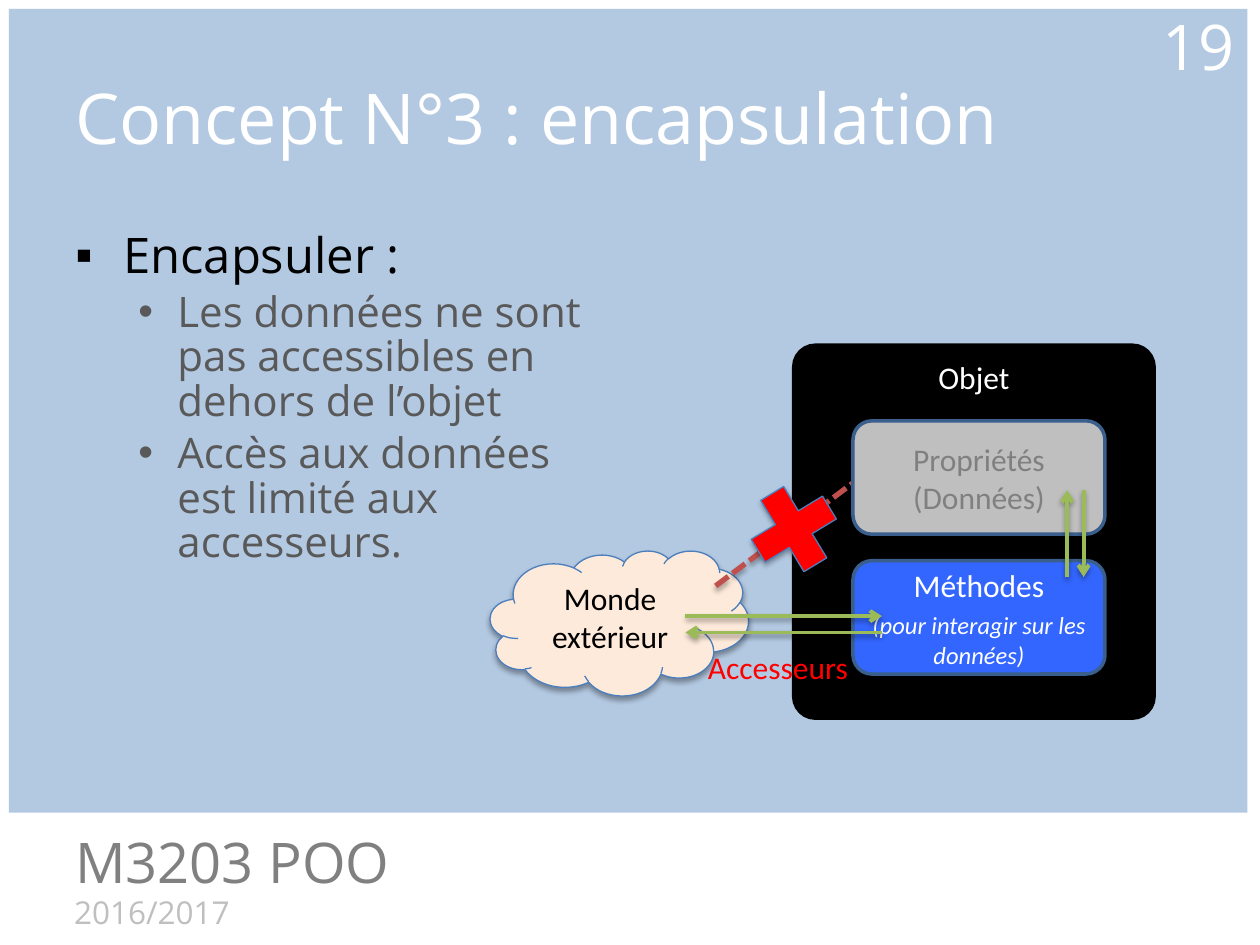
import dataclasses

import lxml.etree
import pptx
import pptx.dml.color
import pptx.enum.dml
import pptx.enum.shapes
import pptx.enum.text
import pptx.oxml.ns
import pptx.util

Inches = pptx.util.Inches
Pt = pptx.util.Pt
Shape = pptx.enum.shapes.MSO_SHAPE
Align = pptx.enum.text.PP_ALIGN
Anchor = pptx.enum.text.MSO_ANCHOR
qn = pptx.oxml.ns.qn


@dataclasses.dataclass(frozen=True)
class Theme:
    """Fonts, colours and type sizes of the deck."""
    heading_font: str = "Open Sans"
    diagram_font: str = "Calibri"
    white: str = "FFFFFF"
    black: str = "000000"
    panel: str = "95B3D7"
    course: str = "808080"
    silver: str = "BFBFBF"
    detail: str = "595959"
    methods: str = "3366FF"
    box_edge: str = "3A5F8C"
    cloud: str = "FDEADA"
    thin_edge: str = "4B7EBC"
    red: str = "FF0000"
    blocked: str = "C0504D"
    access: str = "9BBB59"
    title_size: int = 40
    number_size: int = 36
    course_size: int = 32
    bullet_size: int = 28
    detail_size: int = 24
    label_size: int = 18
    note_size: int = 14


THEME = Theme()


def rgb(color):
    """Turn a hex string into a colour."""
    return pptx.dml.color.RGBColor.from_string(color)


def write(para, text, size, color, font=THEME.heading_font, italic=None):
    """Add one formatted run to a paragraph."""
    span = para.add_run()
    span.text = text
    span.font.size = Pt(size)
    span.font.name = font
    span.font.italic = italic
    span.font.color.rgb = rgb(color)


def add_text(page, box, text, size, color, font=THEME.heading_font,
             align=Align.LEFT, anchor=Anchor.TOP, wrap=True):
    """Add a text box holding a single line."""
    frame = page.shapes.add_textbox(*map(Inches, box)).text_frame
    frame.word_wrap = wrap
    frame.vertical_anchor = anchor
    frame.paragraphs[0].alignment = align
    write(frame.paragraphs[0], text, size, color, font)


def add_effects(shape, shadow=True):
    """Replace the theme shadow by a soft one below, or by none."""
    effects = lxml.etree.SubElement(shape._element.spPr, qn("a:effectLst"))
    if shadow:
        outer = lxml.etree.SubElement(effects, qn("a:outerShdw"), blurRad=str(Pt(3.1)),
                                      dist=str(Pt(1.8)), dir="5400000", rotWithShape="0")
        tint = lxml.etree.SubElement(outer, qn("a:srgbClr"), val=THEME.black)
        lxml.etree.SubElement(tint, qn("a:alpha"), val="35000")


def add_figure(page, kind, box, fill, edge=None, width=2.0, shadow=False):
    """Add a filled preset shape with an optional outline."""
    shape = page.shapes.add_shape(kind, *map(Inches, box))
    shape.fill.solid()
    shape.fill.fore_color.rgb = rgb(fill)
    if edge:
        shape.line.color.rgb = rgb(edge)
        shape.line.width = Pt(width)
    else:
        shape.line.fill.background()
    add_effects(shape, shadow)
    return shape


def label(shape, text, color, anchor=Anchor.MIDDLE):
    """Write a centred label inside a shape."""
    frame = shape.text_frame
    frame.word_wrap = True
    frame.vertical_anchor = anchor
    frame.paragraphs[0].alignment = Align.CENTER
    write(frame.paragraphs[0], text, THEME.label_size, color, THEME.diagram_font)


def add_arrow(page, start, end, color=THEME.access, width=2.25, dash=None):
    """Draw a straight arrow with an open head."""
    arrow = page.shapes.add_connector(pptx.enum.shapes.MSO_CONNECTOR.STRAIGHT,
                                      *map(Inches, (*start, *end)))
    arrow.line.color.rgb = rgb(color)
    arrow.line.width = Pt(width)
    if dash:
        arrow.line.dash_style = dash
    lxml.etree.SubElement(arrow.line._get_or_add_ln(), qn("a:tailEnd"), type="arrow")
    add_effects(arrow)


def add_backdrop(page, box):
    """Lay the translucent panel with the title and slide number."""
    left, top, width, height = box
    panel = add_figure(page, Shape.RECTANGLE, box, THEME.panel)
    tint = panel._element.spPr.find(qn("a:solidFill"))[0]
    lxml.etree.SubElement(tint, qn("a:alpha"), val="71000")
    add_text(page, (left + 0.43, top + 0.23, 9, 1.25), "Concept N°3 : encapsulation",
             THEME.title_size, THEME.white, anchor=Anchor.MIDDLE)
    add_text(page, (left + width - 1.27, top, 1.27, 0.58), "19", THEME.number_size,
             THEME.white, align=Align.RIGHT, anchor=Anchor.MIDDLE)


def add_footer(page, box):
    """Write the course name and year."""
    left, top, width, height = box
    add_text(page, (left, top + 0.52, 4, 0.4), "2016/2017", THEME.label_size, THEME.silver)
    add_text(page, (left + 0.01, top, width, 0.64), "M3203 POO", THEME.course_size, THEME.course)


def add_bullets(page, box):
    """Write the main point and its two details."""
    frame = page.shapes.add_textbox(*map(Inches, box)).text_frame
    frame.word_wrap = True
    main = ("▪", 0.38, 0.38, THEME.bullet_size, THEME.black)
    detail = ("•", 0.81, 0.31, THEME.detail_size, THEME.detail)
    points = [
        ("Encapsuler :", 0, main),
        ("Les données ne sont pas accessibles en dehors de l’objet", 1, detail),
        ("Accès aux données est limité aux accesseurs.", 1, detail),
    ]
    for index, (text, level, (mark, margin, hang, size, color)) in enumerate(points):
        para = frame.paragraphs[0] if index == 0 else frame.add_paragraph()
        para.level = level
        para.line_spacing = 0.88
        para.space_before = Pt(size * 0.2 if index else 0)
        props = para._p.get_or_add_pPr()
        props.set("marL", str(Inches(margin)))
        props.set("indent", str(-Inches(hang)))
        lxml.etree.SubElement(props, qn("a:buFont"), typeface="Arial")
        lxml.etree.SubElement(props, qn("a:buChar"), char=mark)
        write(para, text, size, color)


def add_object(page, box):
    """Draw the object with its properties and methods."""
    left, top, width, height = box
    shell = add_figure(page, Shape.ROUNDED_RECTANGLE, box, THEME.black, THEME.black)
    shell.adjustments[0] = 0.06
    label(shell, "Objet", THEME.white, Anchor.TOP)
    methods = add_figure(page, Shape.ROUNDED_RECTANGLE, (left + 0.47, top + 1.71, 2, 0.9),
                         THEME.methods, THEME.box_edge)
    label(methods, "Méthodes", THEME.white)
    note = methods.text_frame.add_paragraph()
    note.alignment = Align.CENTER
    note.space_before = Pt(4)
    write(note, "(pour interagir sur les données)", THEME.note_size, THEME.white,
          THEME.diagram_font, True)


def add_access(page, box):
    """Draw the outside world, its blocked path and the accessors."""
    left, top, width, height = box
    cloud = add_figure(page, Shape.CLOUD, (left, top + 1.03, 2.05, 1.15), THEME.cloud,
                       THEME.thin_edge, 0.75, True)
    label(cloud, "Monde extérieur", THEME.black, Anchor.TOP)
    add_arrow(page, (left + 1.79, top + 1.31), (left + 3.11, top + 0.32), THEME.blocked, 3,
              pptx.enum.dml.MSO_LINE.SQUARE_DOT)
    cross = add_figure(page, Shape.MATH_MULTIPLY, (left + 1.96, top + 0.41, 0.9, 0.9),
                       THEME.red, THEME.thin_edge, 0.75, True)
    cross.rotation = 13.8
    outer, inner = left + 1.55, left + 3.11
    add_arrow(page, (outer, top + 1.55), (inner, top + 1.55))
    add_arrow(page, (inner, top + 1.68), (outer, top + 1.68))
    data = add_figure(page, Shape.ROUNDED_RECTANGLE, (left + 2.88, top, 2, 0.9),
                      THEME.silver, THEME.box_edge)
    label(data, "Propriétés (Données)", THEME.course)
    upper, lower = top + 0.55, top + 1.24
    add_arrow(page, (left + 4.58, lower), (left + 4.58, upper))
    add_arrow(page, (left + 4.71, upper), (left + 4.71, lower))
    add_text(page, (left + 1.63, top + 1.75, 1.33, 0.4), "Accesseurs", THEME.label_size,
             THEME.red, THEME.diagram_font, wrap=False)


def main():
    """Build the slide and save it."""
    deck = pptx.Presentation()
    deck.slide_width, deck.slide_height = Inches(10), Inches(7.5)
    page = deck.slides.add_slide(deck.slide_layouts[6])
    add_backdrop(page, (0.07, 0.07, 9.83, 6.38))
    add_footer(page, (0.49, 6.52, 5.12, 0.92))
    add_bullets(page, (0.5, 1.79, 4.42, 4.91))
    add_object(page, (6.3, 2.74, 2.86, 2.96))
    add_access(page, (3.89, 3.34, 4.88, 2.18))
    deck.save("out.pptx")


if __name__ == "__main__":
    main()
